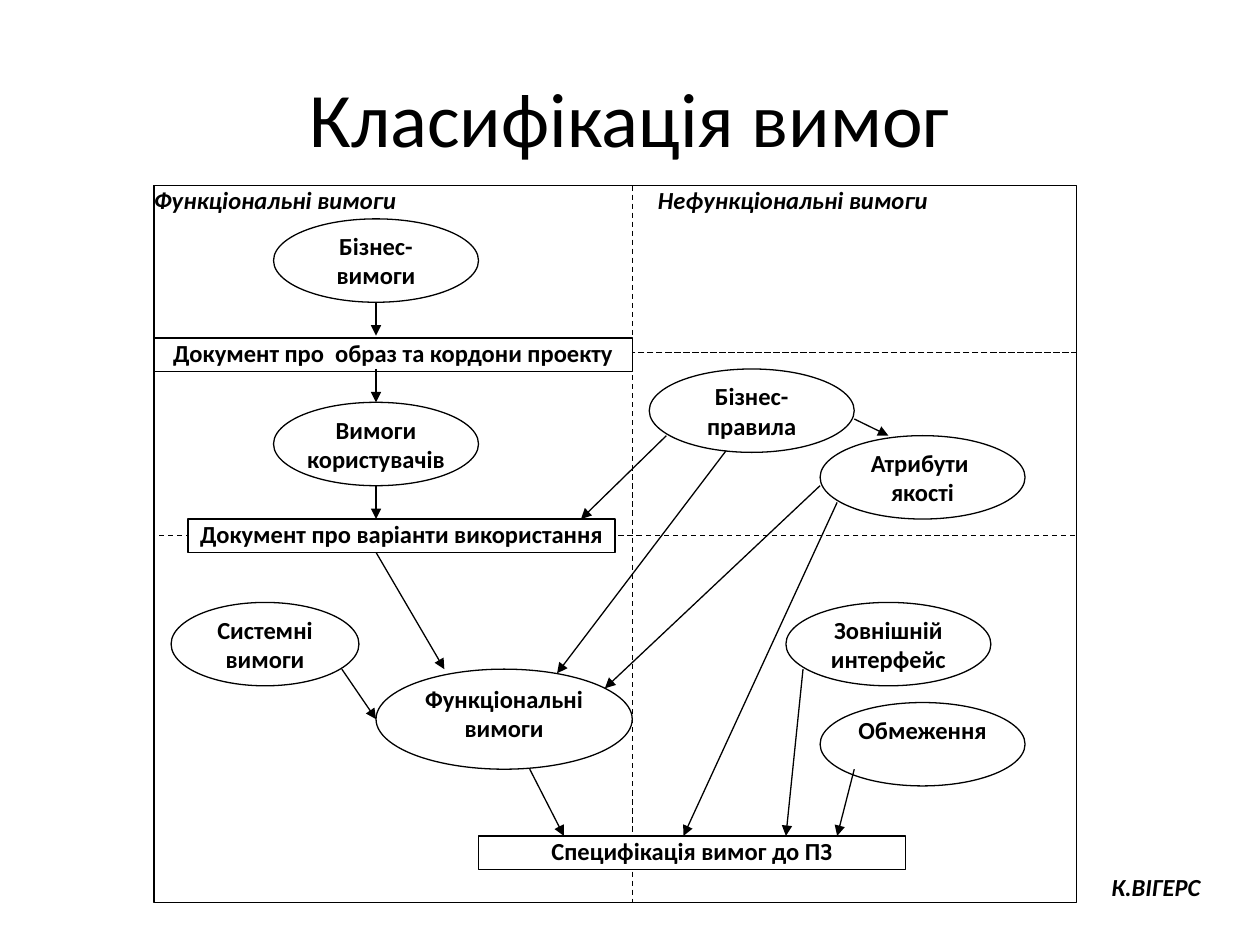
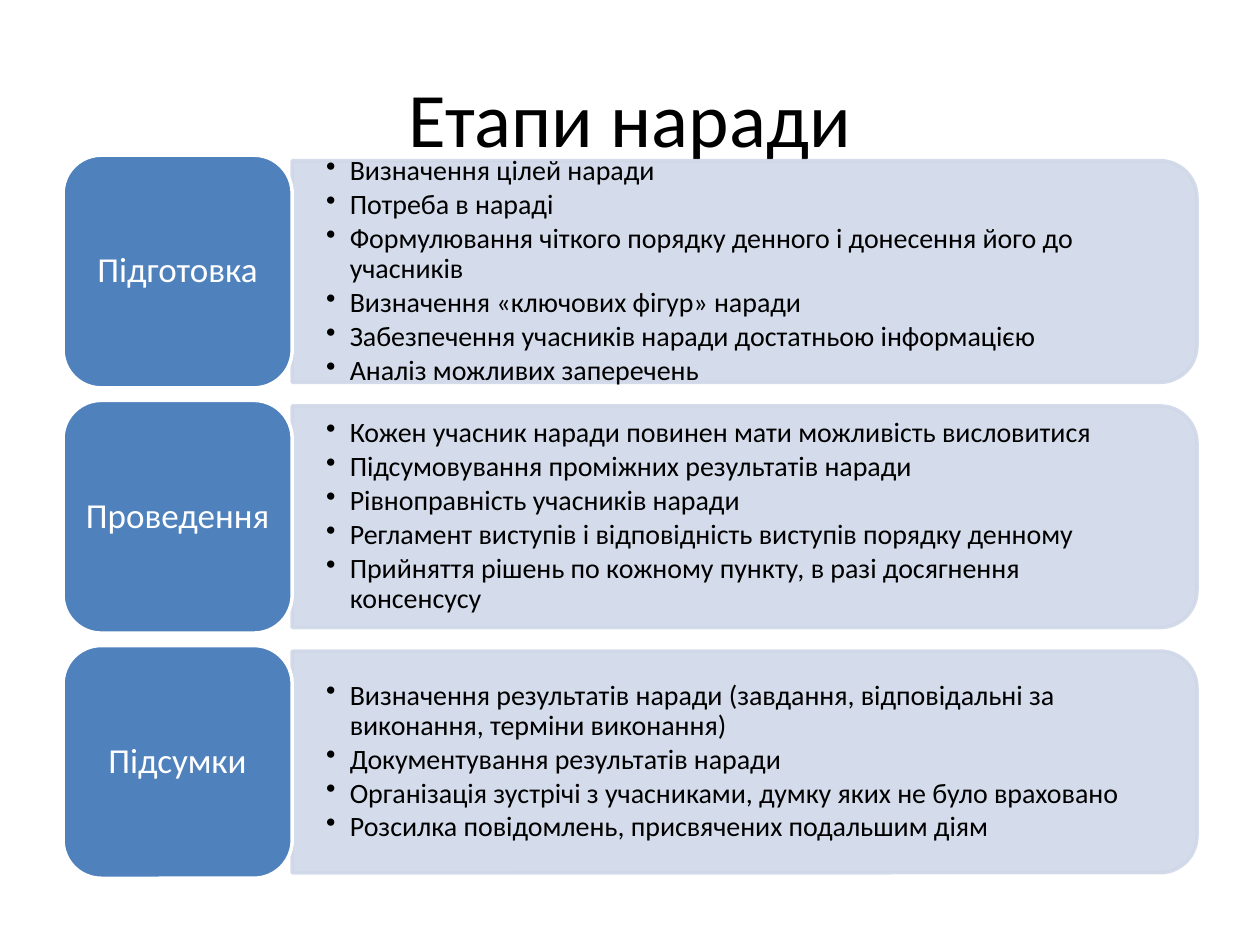
"""Build two slides: a requirements classification and the stages of a meeting."""

import dataclasses
import typing

import lxml.etree
import pptx
import pptx.dml.color
import pptx.enum.dml
import pptx.enum.shapes
import pptx.enum.text
import pptx.oxml.ns
import pptx.util

Pt = pptx.util.Pt
MSO_SHAPE = pptx.enum.shapes.MSO_SHAPE
ANCHOR = pptx.enum.text.MSO_ANCHOR
ALIGN = pptx.enum.text.PP_ALIGN


@dataclasses.dataclass(frozen=True)
class Theme:
    """Colours, font and type sizes of both slides."""

    font: str = "Calibri"
    ink: str = "000000"
    paper: str = "FFFFFF"
    accent: str = "4F81BD"
    panel: str = "D0D8E8"
    title_size: float = 44
    stage_size: float = 20
    bullet_size: float = 16
    diagram_size: float = 14
    thin_line: float = 0.75
    thick_line: float = 2


@dataclasses.dataclass(frozen=True)
class Box:
    """A rectangle in points."""

    left: float
    top: float
    width: float
    height: float

    def lengths(self) -> list:
        """Return the four lengths for python-pptx."""
        return [Pt(value) for value in dataclasses.astuple(self)]


class Node(typing.NamedTuple):
    """A requirement or document, placed in grid units."""

    text: str
    column: float
    row: float
    columns: float = 12
    rows: float = 5
    kind: typing.Any = MSO_SHAPE.OVAL


class Arrow(typing.NamedTuple):
    """An arrow between two grid points."""

    start: tuple
    end: tuple


class Stage(typing.NamedTuple):
    """A meeting stage with its steps."""

    name: str
    steps: list


THEME = Theme()
GRID_LEFT, GRID_TOP = 88, 106
COLUMN_PITCH, ROW_PITCH = 9.76, 9.53
GRID_COLUMNS, GRID_ROWS, DIVIDER_COLUMN = 54, 43, 28

REQUIREMENTS = [
    Node("Бізнес-вимоги", 7, 2),
    Node("Вимоги користувачів", 7, 13),
    Node("Системні вимоги", 1, 25, columns=11),
    Node("Функціональні вимоги", 13, 29, columns=15, rows=6),
    Node("Бізнес-правила", 29, 11),
    Node("Атрибути \vякості", 39, 15),
    Node("Зовнішній интерфейс", 37, 25),
    Node("Обмеження", 39, 31),
]
DOCUMENTS = [
    Node("Документ про  образ та кордони проекту", 0, 9.15, 28, 2, MSO_SHAPE.RECTANGLE),
    Node("Документ про варіанти використання", 2, 20, 25, 2, MSO_SHAPE.RECTANGLE),
    Node("Специфікація вимог до ПЗ", 19, 39, 25, 2, MSO_SHAPE.RECTANGLE),
]
ARROWS = [
    Arrow((13, 7), (13, 9)),
    Arrow((13, 11), (13, 13)),
    Arrow((13, 18), (13, 20)),
    Arrow((13, 22), (17, 29)),
    Arrow((11, 29), (13, 32)),
    Arrow((22, 35), (24, 39)),
    Arrow((30, 15), (25, 20)),
    Arrow((33.5, 15.9), (23.6, 29.25)),
    Arrow((41, 14), (43, 15)),
    Arrow((39, 18), (26.4, 30.15)),
    Arrow((40, 19), (31, 39)),
    Arrow((38, 29), (37, 39)),
    Arrow((41, 35), (40, 39)),
]
STAGES = [
    Stage("Підготовка", [
        "Визначення цілей наради",
        "Потреба в нараді",
        "Формулювання чіткого порядку денного і донесення його до учасників",
        "Визначення «ключових фігур» наради",
        "Забезпечення учасників наради достатньою інформацією",
        "Аналіз можливих заперечень",
    ]),
    Stage("Проведення", [
        "Кожен учасник наради повинен мати можливість висловитися",
        "Підсумовування проміжних результатів наради",
        "Рівноправність учасників наради",
        "Регламент виступів і відповідність виступів порядку денному",
        "Прийняття рішень по кожному пункту, в разі досягнення консенсусу",
    ]),
    Stage("Підсумки", [
        "Визначення результатів наради (завдання, відповідальні за виконання, терміни виконання)",
        "Документування результатів наради",
        "Організація зустрічі з учасниками, думку яких не було враховано",
        "Розсилка повідомлень, присвячених подальшим діям",
    ]),
]


def rgb(value: str) -> pptx.dml.color.RGBColor:
    """Return a colour from its hexadecimal form."""
    return pptx.dml.color.RGBColor.from_string(value)


def add_element(parent, tag: str, **attributes: str):
    """Append a drawing element to a parent element."""
    return lxml.etree.SubElement(parent, pptx.oxml.ns.qn(tag), attributes)


def write(text_frame, text: str, size: float, color: str = THEME.ink, align=ALIGN.CENTER,
          anchor=ANCHOR.MIDDLE, bold: bool = False, italic: bool = False) -> None:
    """Set the text of a frame and format every run."""
    text_frame.text = text
    text_frame.word_wrap = True
    text_frame.vertical_anchor = anchor
    for paragraph in text_frame.paragraphs:
        paragraph.alignment = align
        for run in paragraph.runs:
            run.font.name = THEME.font
            run.font.size = Pt(size)
            run.font.color.rgb = rgb(color)
            run.font.bold = bold
            run.font.italic = italic


def set_margins(text_frame, horizontal: float, vertical: float) -> None:
    """Set equal side margins and equal top and bottom margins."""
    text_frame.margin_left = text_frame.margin_right = Pt(horizontal)
    text_frame.margin_top = text_frame.margin_bottom = Pt(vertical)


def style_line(line, color: str, width: float, dashed: bool = False) -> None:
    """Set the colour, width and dash of a line."""
    line.color.rgb = rgb(color)
    line.width = Pt(width)
    if dashed:
        line.dash_style = pptx.enum.dml.MSO_LINE.DASH


def add_box(slide, kind, box: Box, fill: typing.Optional[str] = None, line: str = THEME.ink,
            width: float = THEME.thin_line, dashed: bool = False):
    """Add a flat shape, hollow unless a fill is given."""
    shape = slide.shapes.add_shape(kind, *box.lengths())
    shape.shadow.inherit = False
    if fill:
        shape.fill.solid()
        shape.fill.fore_color.rgb = rgb(fill)
    else:
        shape.fill.background()
    style_line(shape.line, line, width, dashed)
    return shape


def add_titled_slide(presentation, title: str):
    """Add a title-only slide and format its title."""
    slide = presentation.slides.add_slide(presentation.slide_layouts[5])
    placeholder = slide.shapes.title
    placeholder.left, placeholder.top, placeholder.width, placeholder.height = Box(36, 21.6, 648, 90).lengths()
    write(placeholder.text_frame, title, THEME.title_size)
    return slide


def grid_point(column: float, row: float) -> tuple:
    """Convert grid units to points."""
    return GRID_LEFT + column * COLUMN_PITCH, GRID_TOP + row * ROW_PITCH


def grid_box(column: float, row: float, columns: float, rows: float) -> Box:
    """Convert a grid area to a box."""
    return Box(*grid_point(column, row), columns * COLUMN_PITCH, rows * ROW_PITCH)


def draw_line(slide, start: tuple, end: tuple, dashed: bool = False, arrowhead: bool = False) -> None:
    """Draw a straight line between two grid points."""
    ends = [Pt(value) for value in grid_point(*start) + grid_point(*end)]
    connector = slide.shapes.add_connector(pptx.enum.shapes.MSO_CONNECTOR.STRAIGHT, *ends)
    style_line(connector.line, THEME.ink, THEME.thin_line, dashed)
    if arrowhead:
        add_element(connector.line._get_or_add_ln(), "a:tailEnd", type="triangle")
    add_element(connector.element.spPr, "a:effectLst")


def draw_node(slide, node: Node) -> None:
    """Draw a labelled requirement or document."""
    box = grid_box(node.column, node.row, node.columns, node.rows)
    shape = add_box(slide, node.kind, box, fill=THEME.paper)
    set_margins(shape.text_frame, 0, 0)
    write(shape.text_frame, node.text, THEME.diagram_size, anchor=ANCHOR.TOP, bold=True)


def draw_frame(slide) -> None:
    """Draw the frame, its dashed divisions and the two column headings."""
    draw_line(slide, (DIVIDER_COLUMN, 0), (DIVIDER_COLUMN, GRID_ROWS), dashed=True)
    add_box(slide, MSO_SHAPE.RECTANGLE, grid_box(0, 0, GRID_COLUMNS, GRID_ROWS))
    add_box(slide, MSO_SHAPE.RECTANGLE, grid_box(0, 10, GRID_COLUMNS, 11), dashed=True)
    heading = add_box(slide, MSO_SHAPE.RECTANGLE, grid_box(0, 0, GRID_COLUMNS, 10), dashed=True)
    set_margins(heading.text_frame, 0, 0)
    write(heading.text_frame, "Функціональні вимоги\tНефункціональні вимоги", THEME.diagram_size,
          align=ALIGN.LEFT, anchor=ANCHOR.TOP, bold=True, italic=True)
    properties = heading.text_frame.paragraphs[0]._p.get_or_add_pPr()
    tab_list = add_element(properties, "a:tabLst")
    add_element(tab_list, "a:tab", pos=str(Pt(288)), algn="l")


def build_classification(presentation) -> None:
    """Build the requirements diagram."""
    slide = add_titled_slide(presentation, "Класифікація вимог")
    draw_frame(slide)
    for node in REQUIREMENTS + DOCUMENTS:
        draw_node(slide, node)
    for arrow in ARROWS:
        draw_line(slide, arrow.start, arrow.end, arrowhead=True)
    author = slide.shapes.add_textbox(*Box(628, 494.6, 99, 41).lengths())
    write(author.text_frame, "К.ВІГЕРС", THEME.diagram_size, align=ALIGN.LEFT,
          anchor=ANCHOR.TOP, bold=True, italic=True)


def draw_stage(slide, stage: Stage, middle: float) -> None:
    """Draw a stage card beside the panel that lists its steps."""
    left, length, depth = 167, 517, 126.7
    panel_box = Box(left + (length - depth) / 2, middle - length / 2, depth, length)
    panel = add_box(slide, MSO_SHAPE.ROUND_2_SAME_RECTANGLE, panel_box,
                    THEME.panel, THEME.panel, THEME.thick_line)
    panel.rotation = 90
    for color in list(panel.element.spPr.iter(pptx.oxml.ns.qn("a:srgbClr"))):
        add_element(color, "a:alpha", val="90000")

    steps = slide.shapes.add_textbox(*Box(left, middle - 57.25, 510.5, 114.5).lengths())
    set_margins(steps.text_frame, 19.4, 10)
    write(steps.text_frame, "\n".join(stage.steps), THEME.bullet_size, align=ALIGN.LEFT)
    for paragraph in steps.text_frame.paragraphs:
        paragraph.line_spacing = 0.9
        paragraph.space_after = Pt(2.1)
        properties = paragraph._p.get_or_add_pPr()
        properties.set("marL", str(Pt(13.5)))
        properties.set("indent", str(Pt(-13.5)))
        add_element(properties, "a:buChar", char="•")

    card = add_box(slide, MSO_SHAPE.ROUNDED_RECTANGLE, Box(36, middle - 66.5, 131, 133),
                   THEME.accent, THEME.paper, THEME.thick_line)
    set_margins(card.text_frame, 5, 3)
    write(card.text_frame, stage.name, THEME.stage_size, THEME.paper)
    card.text_frame.paragraphs[0].line_spacing = 0.9


def build_meeting(presentation) -> None:
    """Build the list of meeting stages."""
    slide = add_titled_slide(presentation, "Етапи наради")
    for index, stage in enumerate(STAGES):
        draw_stage(slide, stage, 155.2 + index * 140.1)


def main() -> None:
    """Build and save the presentation."""
    presentation = pptx.Presentation()
    presentation.slide_width, presentation.slide_height = Pt(720), Pt(540)
    build_classification(presentation)
    build_meeting(presentation)
    presentation.save("out.pptx")


if __name__ == "__main__":
    main()
